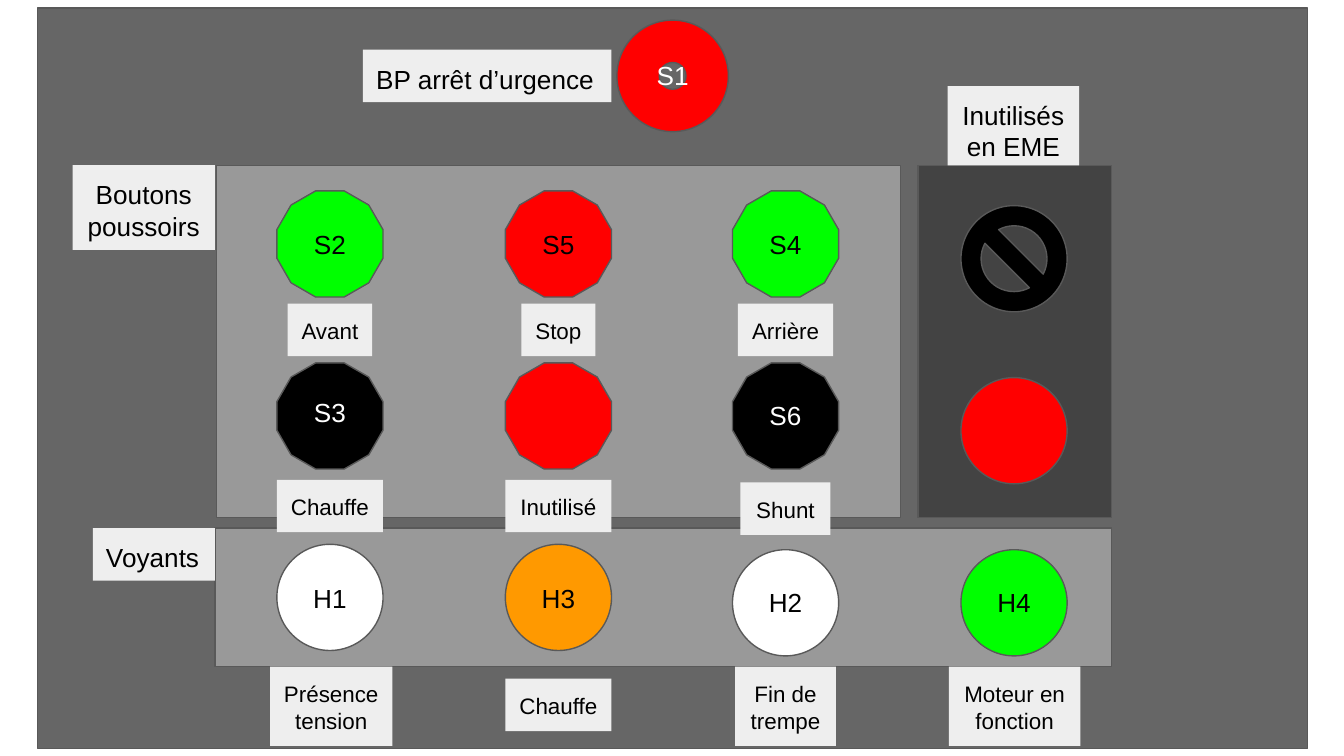
from pptx import Presentation
from pptx.dml.color import RGBColor
from pptx.enum.shapes import MSO_SHAPE
from pptx.enum.text import MSO_ANCHOR, PP_ALIGN
from pptx.util import Pt

RECT, CIRCLE = MSO_SHAPE.RECTANGLE, MSO_SHAPE.OVAL
DODECAGON, DONUT, BARRED = MSO_SHAPE.DODECAGON, MSO_SHAPE.DONUT, MSO_SHAPE.NO_SYMBOL
LEFT, CENTER, TOP = PP_ALIGN.LEFT, PP_ALIGN.CENTER, MSO_ANCHOR.TOP
PX = 9144  # 100 px to the inch
BLACK, WHITE, RED, GREEN, ORANGE = "000000", "FFFFFF", "FF0000", "00FF00", "FF9900"
BUTTON = 79
COLUMNS = [206, 376, 545, 715]

deck = Presentation()
deck.slide_width = 1000 * PX
deck.slide_height = deck.slide_width * 9 // 16
page = deck.slides.add_slide(deck.slide_layouts[6])


def add_part(kind, left, top, width, height, fill, line="595959"):
    part = page.shapes.add_shape(kind, left * PX, top * PX, width * PX, height * PX)
    part.shadow.inherit = False
    part.fill.solid()
    part.fill.fore_color.rgb = RGBColor.from_string(fill)
    if line:
        part.line.color.rgb = RGBColor.from_string(line)
        part.line.width = Pt(0.75)
    else:
        part.line.fill.background()
    return part


def write(box, text, size, color=BLACK, align=CENTER):
    frame = box.text_frame
    settings = {"word_wrap": True, "vertical_anchor": TOP}
    settings.update({f"margin_{side}": 10 * PX for side in ("left", "top", "right", "bottom")})
    for name, value in settings.items():
        setattr(frame, name, value)
    para = frame.paragraphs[0]
    para.alignment = align
    span = para.add_run()
    span.text = text
    for name, value in {"name": "Arial", "size": Pt(size)}.items():
        setattr(span.font, name, value)
    span.font.color.rgb = RGBColor.from_string(color)


# Panels
for left, top, width, height, fill in [
    (28, 6, 945, 551, "666666"),
    (683, 123, 144, 262, "434343"),
    (160, 393, 667, 103, "999999"),
    (161, 123, 509, 262, "999999"),
]:
    add_part(RECT, left, top, width, height, fill)

# Emergency stop and unused controls
add_part(DONUT, 459, 15, 83, 83, RED).adjustments[0] = 0.38
add_part(CIRCLE, COLUMNS[3], 281, BUTTON, BUTTON, RED)
add_part(BARRED, COLUMNS[3], 153, BUTTON, BUTTON, BLACK).adjustments[0] = 0.19

# Push buttons and lamps: kind, column, top, fill, code, code top, code colour
codes = [("S1", 469, 34, WHITE)]
for kind, column, top, fill, code, code_top, color in [
    (DODECAGON, 2, 270, BLACK, "S6", 287, WHITE),
    (DODECAGON, 1, 270, RED, None, None, None),
    (DODECAGON, 2, 142, GREEN, "S4", 160, BLACK),
    (DODECAGON, 1, 142, RED, "S5", 160, BLACK),
    (DODECAGON, 0, 270, BLACK, "S3", 285, WHITE),
    (DODECAGON, 0, 142, GREEN, "S2", 160, BLACK),
    (CIRCLE, 3, 409, GREEN, "H4", 426, BLACK),
    (CIRCLE, 0, 405, WHITE, "H1", 423, BLACK),
    (CIRCLE, 1, 405, ORANGE, "H3", 423, BLACK),
    (CIRCLE, 2, 409, WHITE, "H2", 426, BLACK),
]:
    add_part(kind, COLUMNS[column], top, BUTTON, BUTTON, fill)
    if code:
        codes.append((code, COLUMNS[column] + 8, code_top, color))

# Labels
for text, left, top, width, height, size, align in [
    ("BP arrêt d’urgence", 270, 37, 185, 39, 14, LEFT),
    ("Inutilisés en EME", 705, 64, 98, 59, 14, CENTER),
    ("Boutons poussoirs", 54, 123, 106, 63, 14, CENTER),
    ("Voyants", 69, 393, 91, 39, 14, LEFT),
    ("Présence tension", 201, 496, 91, 59, 12, CENTER),
    ("Chauffe", 376, 505, 79, 39, 12, CENTER),
    ("Fin de trempe", 547, 496, 75, 59, 12, CENTER),
    ("Moteur en fonction", 706, 496, 98, 59, 12, CENTER),
    ("Avant", 214, 226, 63, 39, 12, CENTER),
    ("Arrière", 549, 226, 71, 39, 12, CENTER),
    ("Stop", 388, 226, 55, 39, 12, CENTER),
    ("Chauffe", 206, 357, 79, 39, 12, CENTER),
    ("Inutilisé", 376, 357, 79, 39, 12, CENTER),
    ("Shunt", 551, 359, 67, 39, 12, CENTER),
]:
    label = add_part(RECT, left, top, width, height, "EEEEEE", line=None)
    write(label, text, size, align=align)

# Codes on the controls
for code, left, top, color in codes:
    box = page.shapes.add_textbox(left * PX, top * PX, 63 * PX, 43 * PX)
    write(box, code, 14, color)

deck.save("out.pptx")
